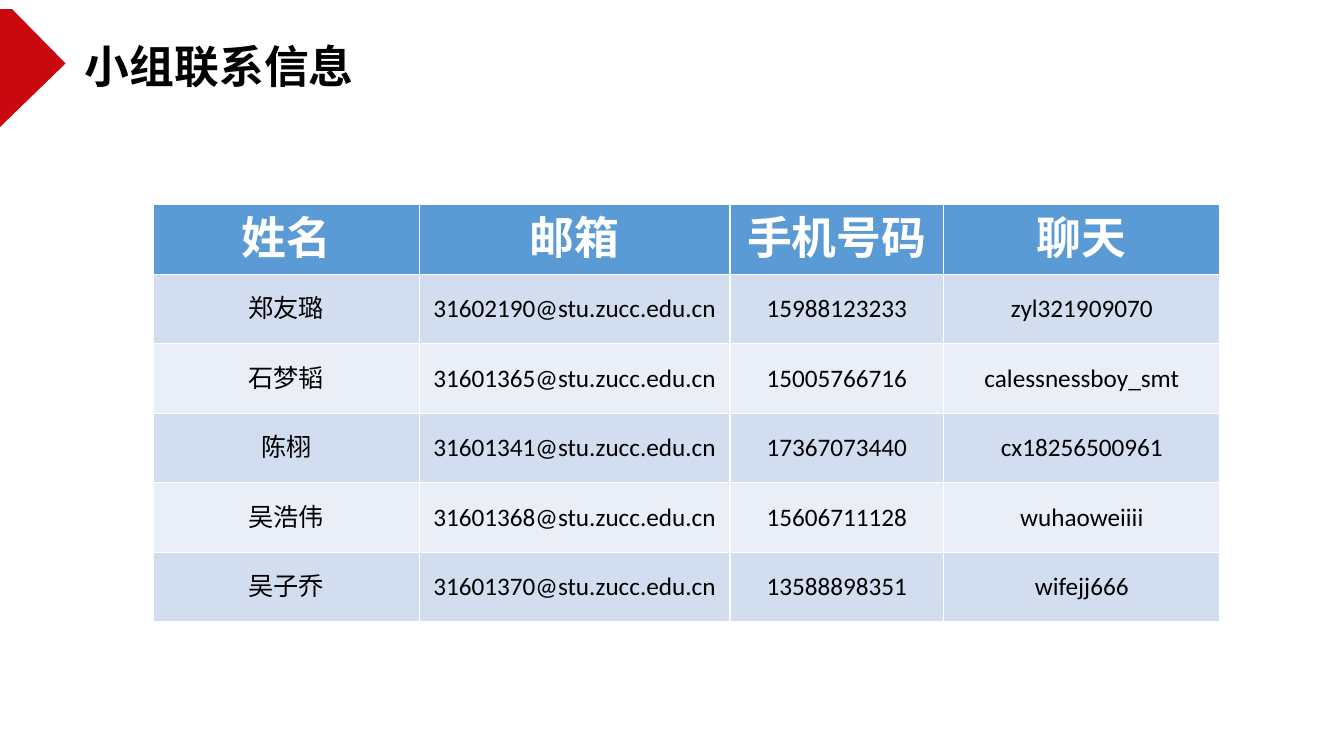
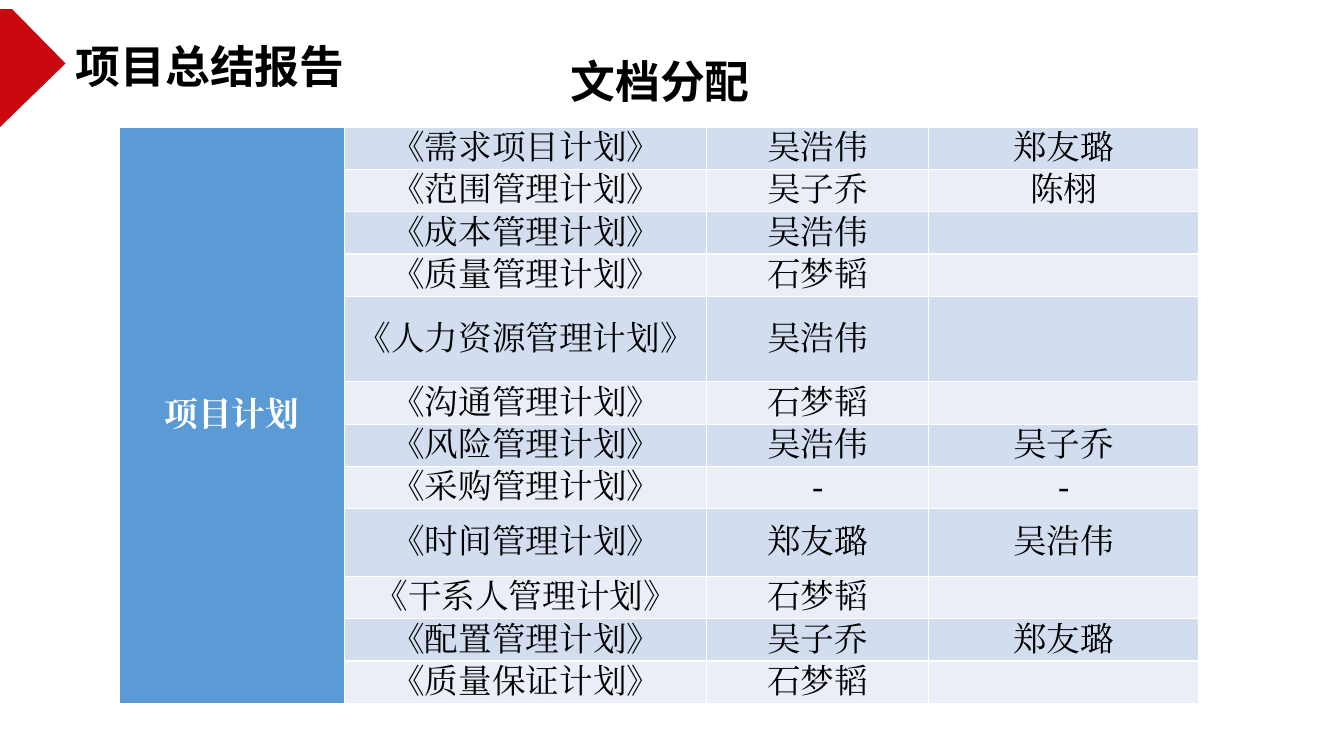
import lxml.etree
import pptx
import pptx.dml.color
import pptx.enum.text
import pptx.oxml.ns
import pptx.util

# Shared look
PX = 9144  # 100 px to the inch
RED, BLUE, BLACK, WHITE = "CA0810", "5B9BD5", "000000", "FFFFFF"
BANDS = ("D2DEEF", "EAEFF7")
SANS, BODY, SERIF = "Noto Sans CJK SC", "Calibri", "Times New Roman"
CENTER = pptx.enum.text.PP_ALIGN.CENTER
LEFT = pptx.enum.text.PP_ALIGN.LEFT

TEAM = [
    ("姓名", "邮箱", "手机号码", "聊天"),
    ("郑友璐", "31602190@stu.zucc.edu.cn", "15988123233", "zyl321909070"),
    ("石梦韬", "31601365@stu.zucc.edu.cn", "15005766716", "calessnessboy_smt"),
    ("陈栩", "31601341@stu.zucc.edu.cn", "17367073440", "cx18256500961"),
    ("吴浩伟", "31601368@stu.zucc.edu.cn", "15606711128", "wuhaoweiiii"),
    ("吴子乔", "31601370@stu.zucc.edu.cn", "13588898351", "wifejj666"),
]
PLANS = [
    ("需求项目", "吴浩伟", "郑友璐"),
    ("范围管理", "吴子乔", "陈栩"),
    ("成本管理", "吴浩伟", ""),
    ("质量管理", "石梦韬", ""),
    ("人力资源管理", "吴浩伟", ""),
    ("沟通管理", "石梦韬", ""),
    ("风险管理", "吴浩伟", "吴子乔"),
    ("采购管理", "-", "-"),
    ("时间管理", "郑友璐", "吴浩伟"),
    ("干系人管理", "石梦韬", ""),
    ("配置管理", "吴子乔", "郑友璐"),
    ("质量保证", "石梦韬", ""),
]


def px(n):
    return pptx.util.Emu(n * PX)


def paint(color, code):
    """Give a fill or a font the colour of a hex string."""
    if hasattr(color, "solid"):
        color.solid()
        color = color.fore_color
    else:
        color = color.color
    color.rgb = pptx.dml.color.RGBColor.from_string(code)


def write(frame, text, size, face, code=BLACK, bold=False, align=LEFT):
    frame.text = text
    para = frame.paragraphs[0]
    para.alignment = align
    font = para.font
    font.size, font.bold, font.name = pptx.util.Pt(size), bold, face
    paint(font, code)
    # East Asian text takes the same typeface
    props = para._p.pPr.find(pptx.oxml.ns.qn("a:defRPr"))
    lxml.etree.SubElement(props, pptx.oxml.ns.qn("a:ea"), typeface=face)


def head(shape, text, left, top, width):
    """Place a bold heading in a title or a text box."""
    shape.left, shape.top = px(left), px(top)
    shape.width, shape.height = px(width), px(64)
    frame = shape.text_frame
    frame.word_wrap = True
    frame.auto_size = pptx.enum.text.MSO_AUTO_SIZE.NONE
    frame.vertical_anchor = pptx.enum.text.MSO_ANCHOR.TOP
    write(frame, text, 32, SANS, bold=True)


def start(deck, text, left):
    """Add a slide with the red corner arrow and its title."""
    slide = deck.slides.add_slide(deck.slide_layouts[5])  # Title Only
    pen = slide.shapes.build_freeform(0, 9, scale=PX)
    pen.add_line_segments([(0, 126), (65, 63), (12, 9)])
    arrow = pen.convert_to_shape()
    arrow.shadow.inherit = False
    paint(arrow.fill, RED)
    arrow.line.fill.background()
    head(slide.shapes.title, text, left, 33, 570)
    return slide


def grid(slide, left, top, cols, rows):
    shape = slide.shapes.add_table(len(rows), len(cols), px(left), px(top),
                                   px(sum(cols)), px(sum(rows)))
    table = shape.table
    for col, width in zip(table.columns, cols):
        col.width = px(width)
    for row, height in zip(table.rows, rows):
        row.height = px(height)
    return table


def fill(cell, back, text, size, face, pad=(10, 5), **look):
    paint(cell.fill, back)
    cell.vertical_anchor = pptx.enum.text.MSO_ANCHOR.MIDDLE
    cell.margin_left = cell.margin_right = px(pad[0])
    cell.margin_top = cell.margin_bottom = px(pad[1])
    write(cell.text_frame, text, size, face, align=CENTER, **look)


def team(deck):
    slide = start(deck, "小组联系信息", 74)
    table = grid(slide, 152, 203, (264, 308, 212, 274), [69] * len(TEAM))
    for r, row in enumerate(TEAM):
        for c, text in enumerate(row):
            cell = table.cell(r, c)
            if r == 0:
                fill(cell, BLUE, text, 32, BODY, code=WHITE, bold=True)
            else:
                fill(cell, BANDS[(r - 1) % 2], text, 18, BODY)


def plans(deck):
    slide = start(deck, "项目总结报告", 65)
    head(slide.shapes.add_textbox(0, 0, 0, 0), "文档分配", 556, 48, 579)
    tall = {4: 85, 8: 67}
    rows = [tall.get(r, 42) for r in range(len(PLANS))]
    table = grid(slide, 118, 126, (224, 359, 220, 268), rows)
    table.first_row = False

    # One merged group cell on the left
    group = table.cell(0, 0)
    group.merge(table.cell(len(PLANS) - 1, 0))
    pad = (7, 0)
    fill(group, BLUE, "项目计划", 24, SERIF, pad, code=WHITE, bold=True)
    for r, (name, *staff) in enumerate(PLANS):
        for c, text in enumerate([f"《{name}计划》", *staff], 1):
            fill(table.cell(r, c), BANDS[r % 2], text, 24, SERIF, pad)


def main():
    deck = pptx.Presentation()
    deck.slide_width, deck.slide_height = px(1333), px(750)
    team(deck)
    plans(deck)
    deck.save("out.pptx")


if __name__ == "__main__":
    main()
